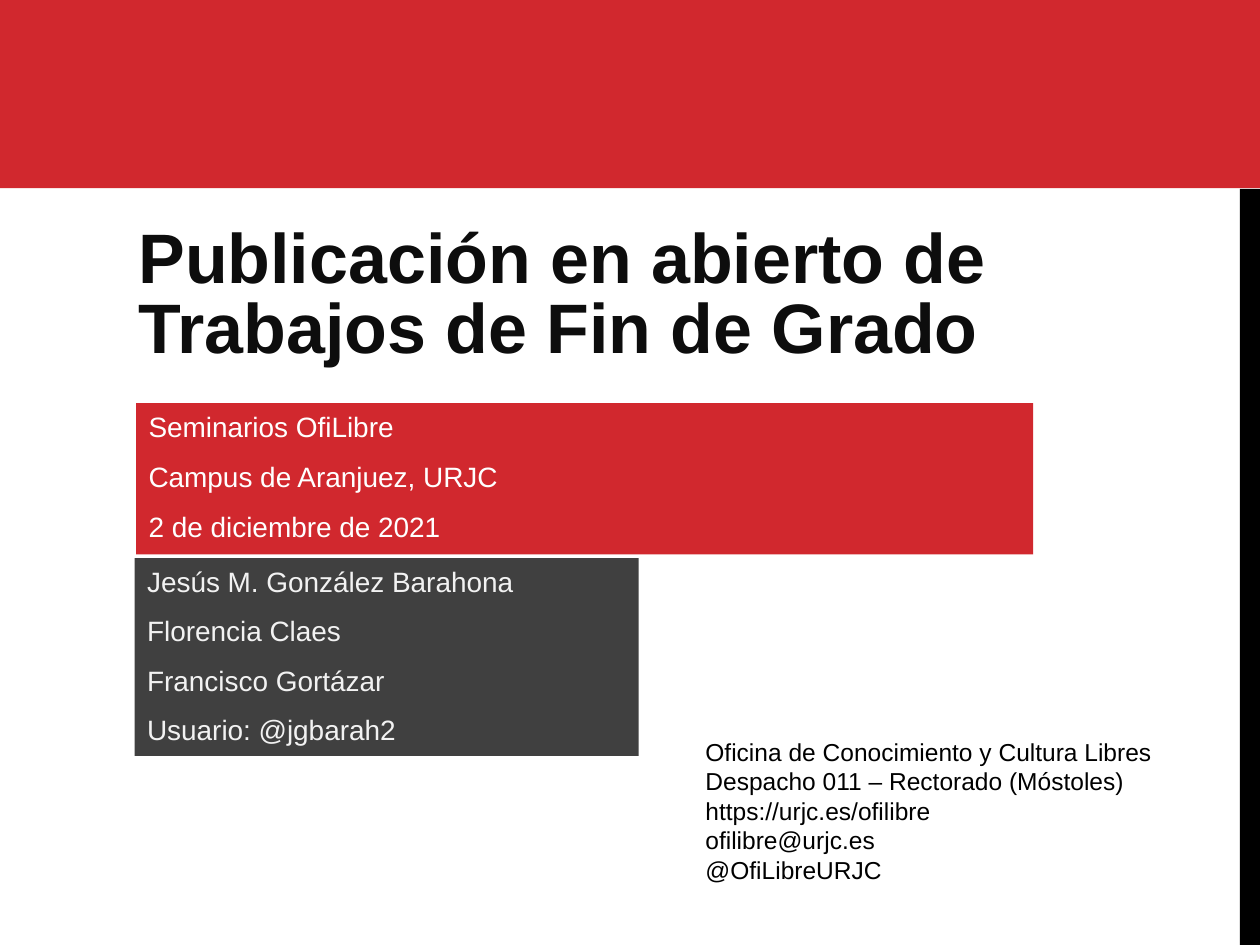
import pptx
import pptx.util
import pptx.dml.color
import pptx.enum.shapes
import pptx.enum.text

Pt = pptx.util.Pt
FONT = "Arial"
COLORS = {
    "red": "D1282E",
    "black": "000000",
    "dark": "404040",
    "title": "0D0D0D",
    "light": "F2F2F2",
    "white": "FFFFFF",
}
TITLE = ["Publicación en abierto de", "Trabajos de Fin de Grado"]
EVENT = ["Seminarios OfiLibre", "Campus de Aranjuez, URJC", "2 de diciembre de 2021"]
AUTHORS = [
    "Jesús M. González Barahona",
    "Florencia Claes",
    "Francisco Gortázar",
    "Usuario: @jgbarah2",
]
CONTACT = [
    "Oficina de Conocimiento y Cultura Libres",
    "Despacho 011 – Rectorado (Móstoles)",
    "https://urjc.es/ofilibre",
    "ofilibre@urjc.es",
    "@OfiLibreURJC",
]


def rgb(name):
    return pptx.dml.color.RGBColor.from_string(COLORS[name])


def add_rect(slide, left, top, width, height, color):
    sp = slide.shapes.add_shape(
        pptx.enum.shapes.MSO_SHAPE.RECTANGLE, Pt(left), Pt(top), Pt(width), Pt(height)
    )
    sp.shadow.inherit = False
    sp.fill.solid()
    sp.fill.fore_color.rgb = rgb(color)
    sp.line.fill.background()
    return sp


def write_lines(sp, lines, size, color, bold=False, before=0, after=0, spacing=1.0):
    """Fill a shape with one left-aligned paragraph per line, from the top."""
    tf = sp.text_frame
    tf.word_wrap = True
    tf.vertical_anchor = pptx.enum.text.MSO_ANCHOR.TOP
    for i, line in enumerate(lines):
        p = tf.add_paragraph() if i else tf.paragraphs[0]
        p.alignment = pptx.enum.text.PP_ALIGN.LEFT
        p.space_before = Pt(before if i else 0)
        p.space_after = Pt(after)
        p.line_spacing = spacing
        r = p.add_run()
        r.text = line
        r.font.name = FONT
        r.font.size = Pt(size)
        r.font.bold = bold
        r.font.color.rgb = rgb(color)
    return tf


def add_title(slide):
    sp = slide.shapes.title
    sp.left, sp.top, sp.width, sp.height = Pt(72), Pt(86.4), Pt(591), Pt(163.4)
    tf = write_lines(sp, TITLE, 40, "title", bold=True, spacing=0.83)
    tf.auto_size = pptx.enum.text.MSO_AUTO_SIZE.NONE
    tf.vertical_anchor = pptx.enum.text.MSO_ANCHOR.BOTTOM
    tf.margin_bottom = Pt(40)


def add_contact(slide):
    sp = slide.shapes.add_textbox(Pt(396), Pt(417.6), Pt(298), Pt(93))
    write_lines(sp, CONTACT, 14, "black")


def main():
    prs = pptx.Presentation()
    prs.slide_width, prs.slide_height = Pt(720), Pt(540)
    slide = prs.slides.add_slide(prs.slide_layouts[5])

    add_rect(slide, 708.5, 108, 11.5, 432, "black")
    add_rect(slide, 0, 0, 720, 107.5, "red")
    add_contact(slide)
    authors = add_rect(slide, 77, 319, 288, 113, "dark")
    write_lines(authors, AUTHORS, 16, "light", before=3, after=6)
    add_title(slide)
    event = add_rect(slide, 77.8, 230.4, 512.6, 86.4, "red")
    write_lines(event, EVENT, 16, "white", after=9.5)

    prs.save("out.pptx")


if __name__ == "__main__":
    main()
